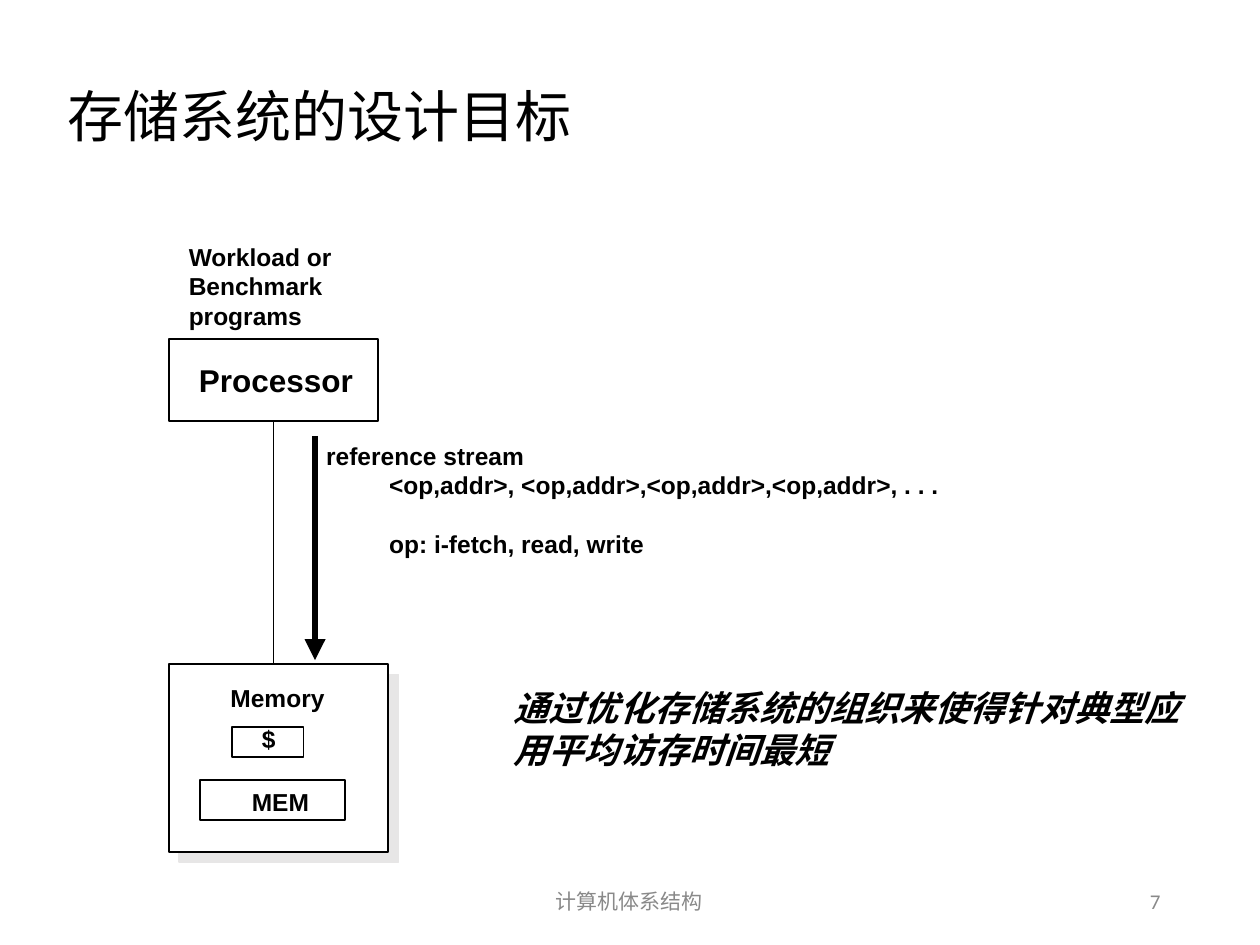
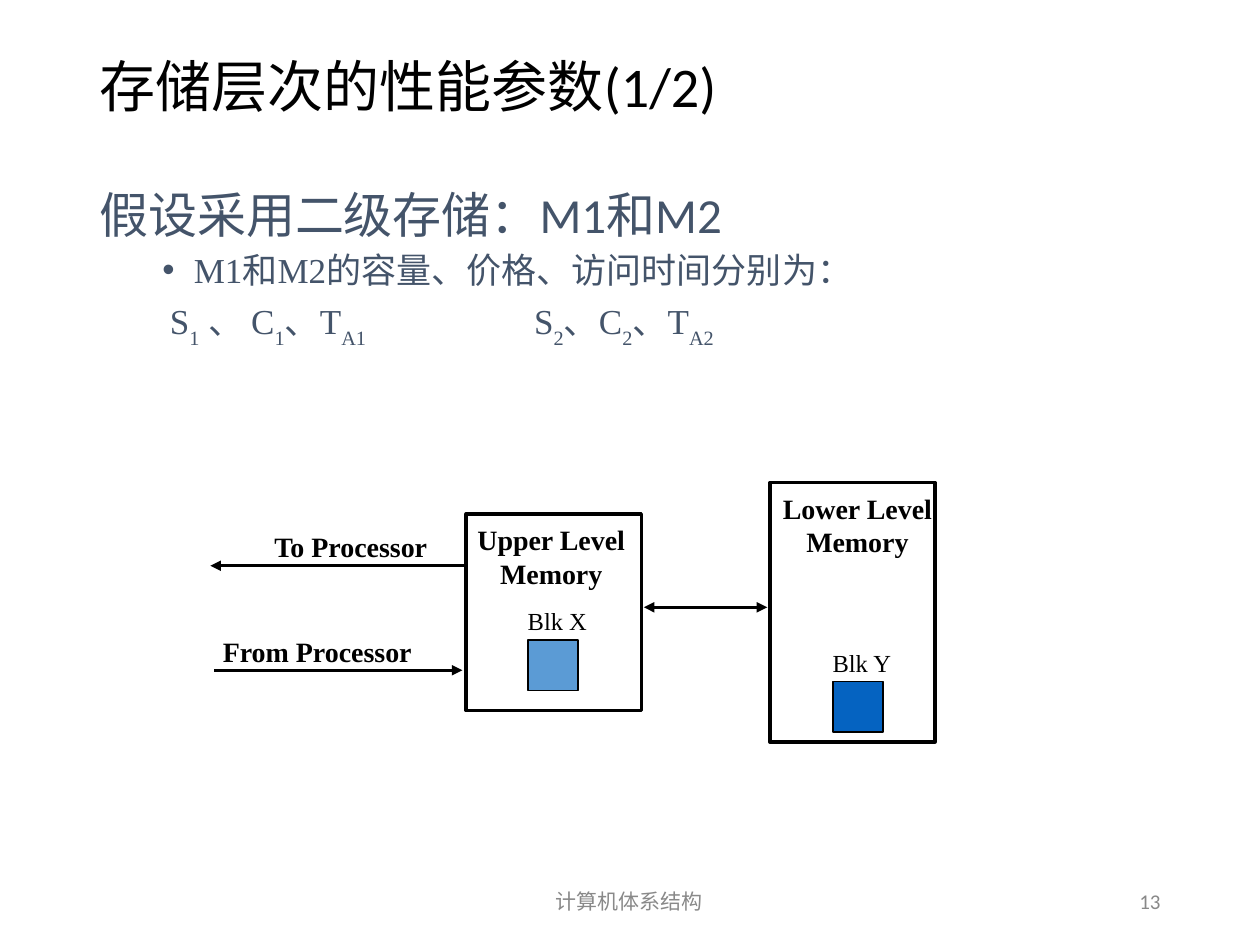
from dataclasses import dataclass, field

from lxml.etree import SubElement
from pptx import Presentation
from pptx.dml.color import RGBColor
from pptx.enum.shapes import MSO_CONNECTOR as Connector, MSO_SHAPE as Shape
from pptx.enum.text import MSO_ANCHOR as Anchor, MSO_AUTO_SIZE as AutoSize, PP_ALIGN as Align
from pptx.oxml.ns import qn
from pptx.util import Inches, Pt

BLACK, WHITE, GREY, SLATE = "000000", "FFFFFF", "898989", "44546A"
SHADOW, LIGHT_BLUE, DEEP_BLUE = "E7E6E6", "5B9BD5", "0563C1"
SANS, SERIF, THEME = "Arial", "Times New Roman", "Calibri"
FOOTER = "计算机体系结构"


def color(value):
    return RGBColor.from_string(value)


def style(name, size, shade=BLACK, **extra):
    return {"name": name, "size": Pt(size), "color": shade, **extra}


TITLE = style(THEME, 32)
FOOT = style(THEME, 12, GREY)
LABEL = style(SANS, 14, bold=True)
HEADING = style(SERIF, 16, bold=True)
BLOCK = style(SERIF, 14)


@dataclass
class Para:
    """One paragraph; "_" starts a subscript span, a lone space is widened by gap points."""
    spans: list
    look: dict = field(default_factory=dict)
    layout: dict = field(default_factory=dict)
    margin: float = 0
    indent: float = 0
    bullet: str = ""
    gap: float = 0


class SlideMaker:
    """Holds the deck, its shared style and the current slide."""

    def __init__(self):
        self.deck = Presentation()
        self.deck.slide_width, self.deck.slide_height = Inches(10), Inches(7.5)
        self.page = None

    def new_page(self, title, title_at, number):
        self.page = self.deck.slides.add_slide(self.deck.slide_layouts[6])
        self.text(title_at, [Para([title], layout={"line_spacing": 0.9})], TITLE,
                  wrap=True, anchor=Anchor.MIDDLE)
        for at, words, align in (((3.31, 6.95, 3.37, 0.4), FOOTER, Align.CENTER),
                                 ((7.06, 6.95, 2.25, 0.4), str(number), Align.RIGHT)):
            self.text(at, [words], FOOT, align, wrap=True, anchor=Anchor.MIDDLE)

    def text(self, at, paras, look, align=Align.LEFT, wrap=False, anchor=Anchor.TOP):
        frame = self.page.shapes.add_textbox(*map(Inches, at)).text_frame
        settings = {"word_wrap": wrap, "vertical_anchor": anchor,
                    "auto_size": AutoSize.NONE if wrap else AutoSize.SHAPE_TO_FIT_TEXT}
        for name, value in settings.items():
            setattr(frame, name, value)
        for index, item in enumerate(paras):
            para = frame.add_paragraph() if index else frame.paragraphs[0]
            plan = item if isinstance(item, Para) else Para([item])
            self.fill_para(para, plan, look, align)

    def fill_para(self, para, plan, look, align):
        for name, value in {"alignment": align, **plan.layout}.items():
            setattr(para, name, value)
        props = para._p.get_or_add_pPr()
        props.set("marL", str(Inches(plan.margin)))
        props.set("indent", str(Inches(plan.indent)))
        if plan.bullet:
            SubElement(props, qn("a:buFont"), typeface=SANS)
            SubElement(props, qn("a:buChar"), char=plan.bullet)
        for words in plan.spans:
            span = para.add_run()
            span.text = words.removeprefix("_")
            for name, value in {**look, **plan.look}.items():
                if name == "color":
                    span.font.color.rgb = color(value)
                else:
                    setattr(span.font, name, value)
            if words.startswith("_"):
                span._r.get_or_add_rPr().set("baseline", "-30000")
            elif words == " ":
                span._r.get_or_add_rPr().set("spc", str(round(plan.gap * 100)))

    def rect(self, at, fill=None, weight=1, shadow=None):
        box = self.page.shapes.add_shape(Shape.RECTANGLE, *map(Inches, at))
        box.shadow.inherit = False
        if fill:
            box.fill.solid()
            box.fill.fore_color.rgb = color(fill)
        else:
            box.fill.background()
        box.line.color.rgb = color(BLACK)
        box.line.width = Pt(weight)
        if shadow:
            effects = box._element.spPr.find(qn("a:effectLst"))
            outer = SubElement(effects, qn("a:outerShdw"), blurRad="0", dist=str(Pt(8.5)),
                               dir="2700000", algn="ctr", rotWithShape="0")
            SubElement(outer, qn("a:srgbClr"), val=shadow)
        return box

    def line(self, start, end, weight, *arrow_ends):
        """Draw a straight line; arrow_ends names headEnd and/or tailEnd."""
        link = self.page.shapes.add_connector(Connector.STRAIGHT, *map(Inches, start + end))
        link.line.color.rgb = color(BLACK)
        link.line.width = Pt(weight)
        for name in arrow_ends:
            SubElement(link.line._get_or_add_ln(), qn(f"a:{name}"), type="triangle")
        SubElement(link._element.spPr, qn("a:effectLst"))
        return link

    def block(self, left, top, name, fill):
        self.rect((left, top, 0.4, 0.4), fill)
        self.text((left - 0.1, top - 0.32, 0.67, 0.33), [name], BLOCK)


def design_goal(maker):
    maker.new_page("存储系统的设计目标", (0.44, 0.52, 9.16, 0.86), 7)
    processor = maker.rect((1.34, 2.69, 1.66, 0.65), WHITE)
    maker.text((1.48, 2.82, 1.42, 0.4), ["Processor"], style(SANS, 18, bold=True))
    maker.rect((1.34, 5.27, 1.74, 1.49), WHITE, shadow=SHADOW)
    bus = maker.line((2.17, 3.34), (2.17, 5.27), 1)
    bus.begin_connect(processor, 2)
    maker.rect((1.84, 5.77, 0.57, 0.24), WHITE)
    maker.rect((1.59, 6.19, 1.15, 0.32), WHITE)
    for at, words in (((1.98, 5.7, 0.33, 0.33), "$"),
                      ((1.9, 6.2, 0.75, 0.33), "MEM"),
                      ((1.73, 5.37, 0.98, 0.33), "Memory")):
        maker.text(at, [words], LABEL)
    maker.line((2.5, 3.46), (2.5, 5.24), 4, "tailEnd")
    maker.text((2.49, 3.45, 5.07, 1.03), [
        "reference stream",
        Para(["<op,addr>, <op,addr>,<op,addr>,<op,addr>, . . ."], margin=0.5),
        Para(["op: i-fetch, read, write"], margin=0.5, layout={"space_before": Pt(17)}),
    ], LABEL)
    maker.text((3.98, 5.4, 5.61, 0.76), ["通过优化存储系统的组织来使得针对典型应用平均访存时间最短"],
               style(SANS, 20, bold=True, italic=True), wrap=True)
    maker.text((1.4, 1.87, 1.34, 0.8), ["Workload or", "Benchmark", "programs"], LABEL)


def performance_parameters(maker):
    maker.new_page("存储层次的性能参数(1/2)", (0.69, 0.21, 8.63, 0.99), 13)
    tight = {"line_spacing": 0.9}
    spaced = {**tight, "space_before": Pt(5)}
    maker.text((0.69, 1.47, 8.63, 4.76), [
        Para(["假设采用二级存储：M1和M2"], style(THEME, 28, SLATE), tight),
        Para(["M1和M2的容量、价格、访问时间分别为："], layout=spaced,
             margin=0.75, indent=-0.25, bullet="•"),
        Para(["S", "_1", " 、 C", "_1", "、T", "_A1", " ",
              "S", "_2", "、C", "_2", "、T", "_A2"],
             layout=spaced, indent=0.56, gap=91),
    ], style(SERIF, 20, SLATE), wrap=True)

    maker.rect((3.7, 4.08, 1.39, 1.56), weight=2)
    maker.rect((6.11, 3.83, 1.31, 2.06), weight=2)
    maker.text((6.11, 3.85, 1.39, 0.63), ["Lower Level", "Memory"], HEADING, Align.CENTER)
    maker.text((3.69, 4.1, 1.37, 0.63), ["Upper Level", "Memory"], HEADING, Align.CENTER)
    maker.line((3.7, 4.49), (1.67, 4.49), 2, "tailEnd")
    maker.text((2.08, 4.15, 1.44, 0.36), ["To Processor"], HEADING)
    maker.line((1.7, 5.32), (3.67, 5.32), 2, "tailEnd")
    maker.text((1.67, 4.99, 1.71, 0.36), ["From Processor"], HEADING)
    maker.line((5.11, 4.82), (6.09, 4.82), 2, "headEnd", "tailEnd")
    maker.block(4.19, 5.08, "Blk X", LIGHT_BLUE)
    maker.block(6.61, 5.41, "Blk Y", DEEP_BLUE)


def main():
    maker = SlideMaker()
    design_goal(maker)
    performance_parameters(maker)
    maker.deck.save("out.pptx")


if __name__ == "__main__":
    main()
